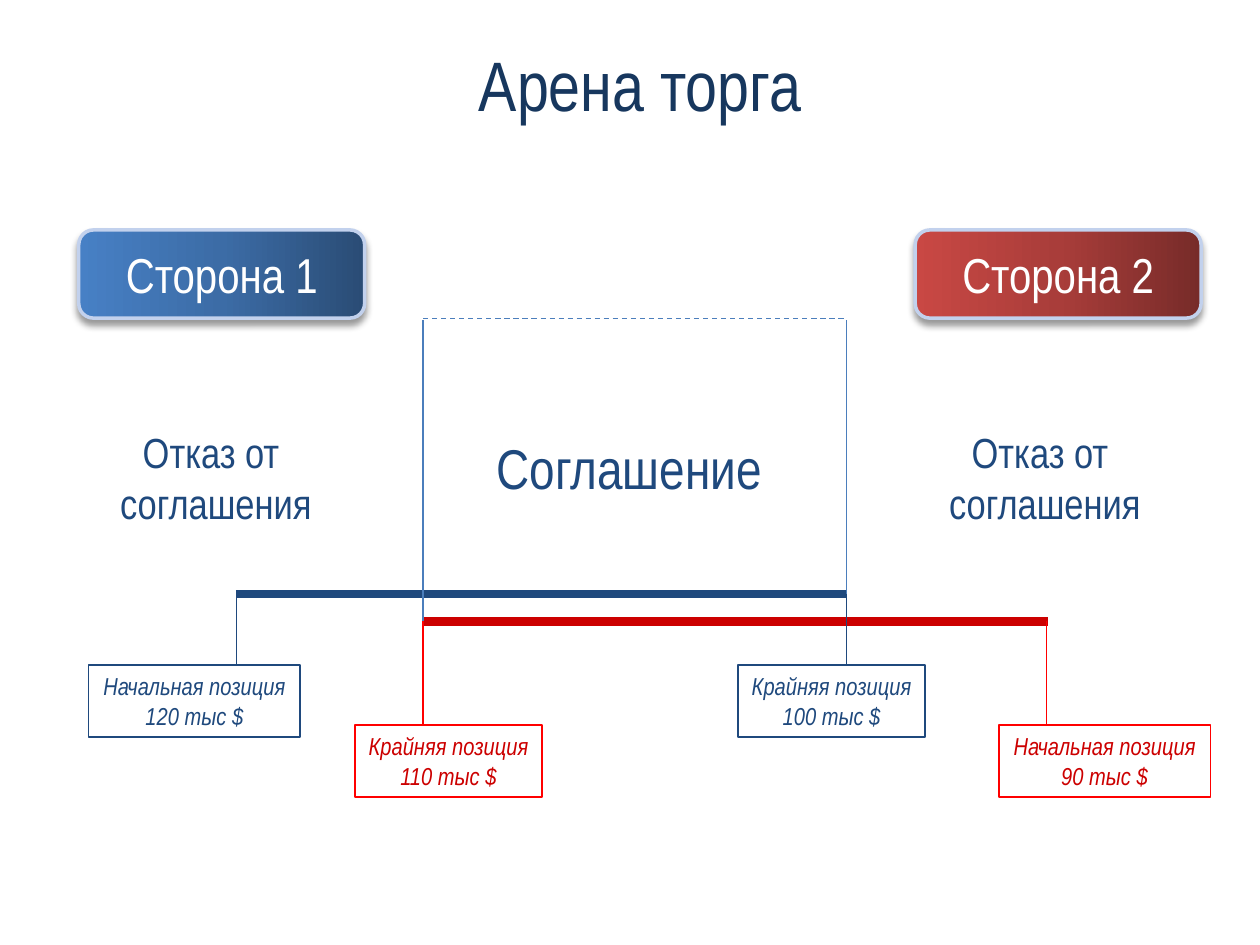
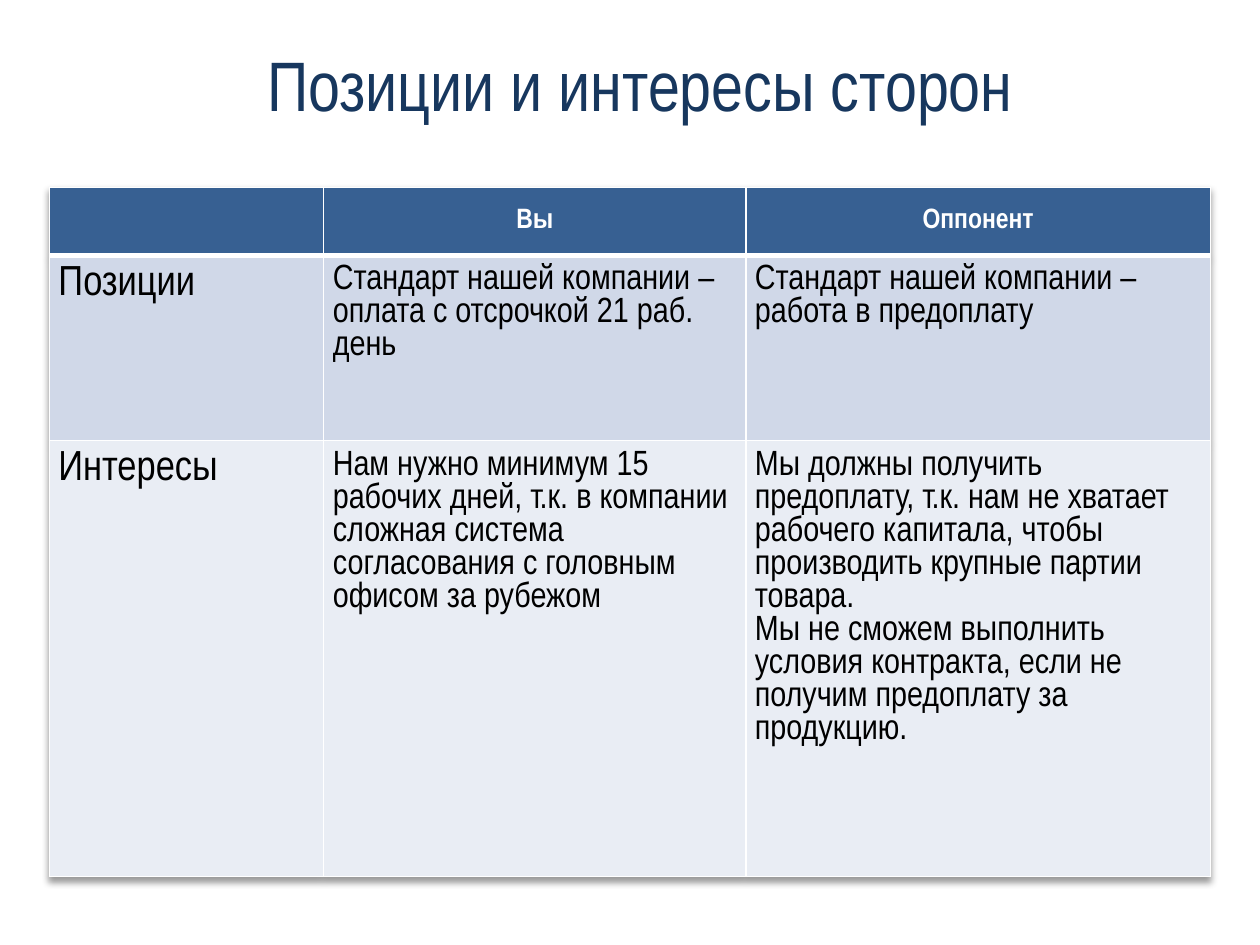
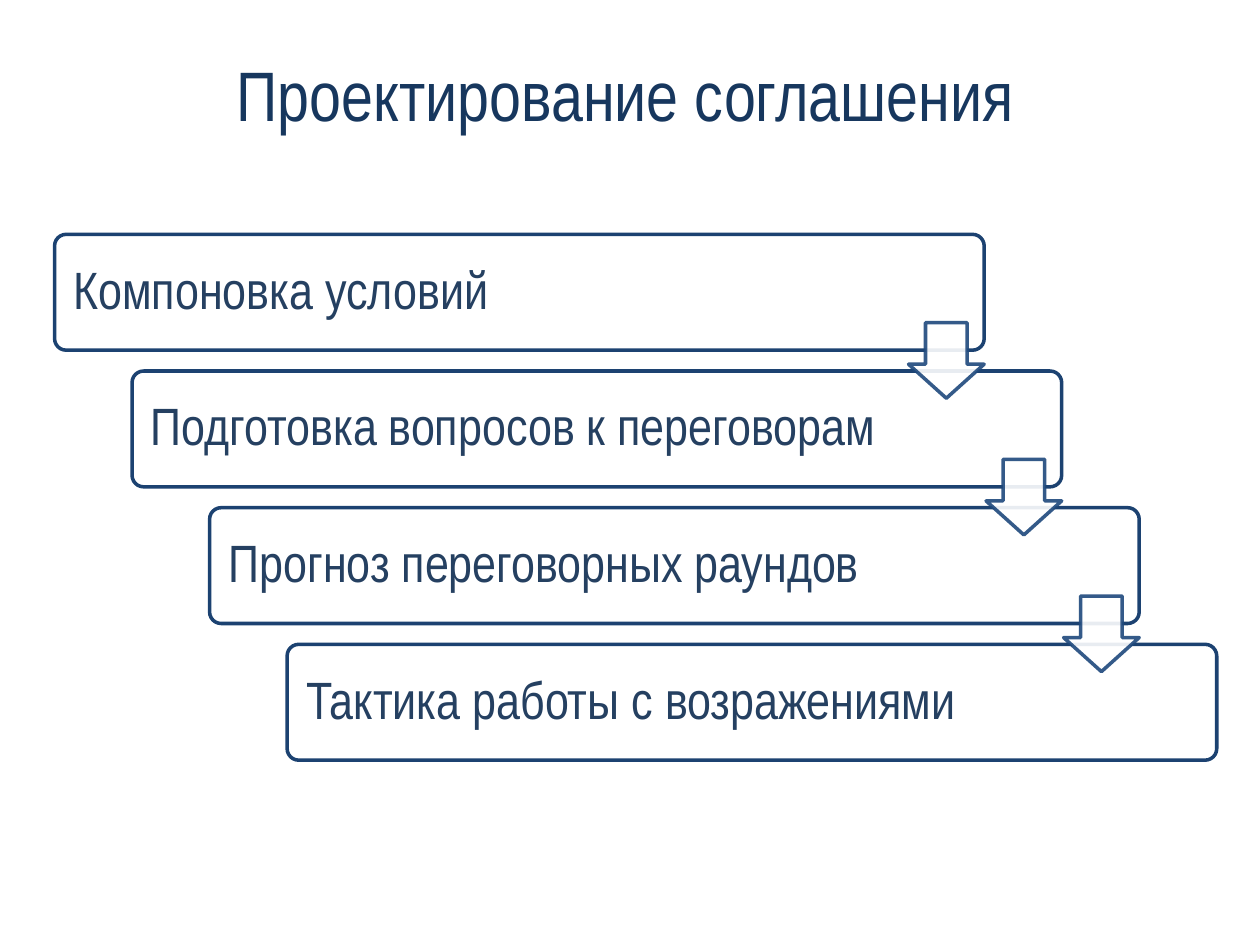
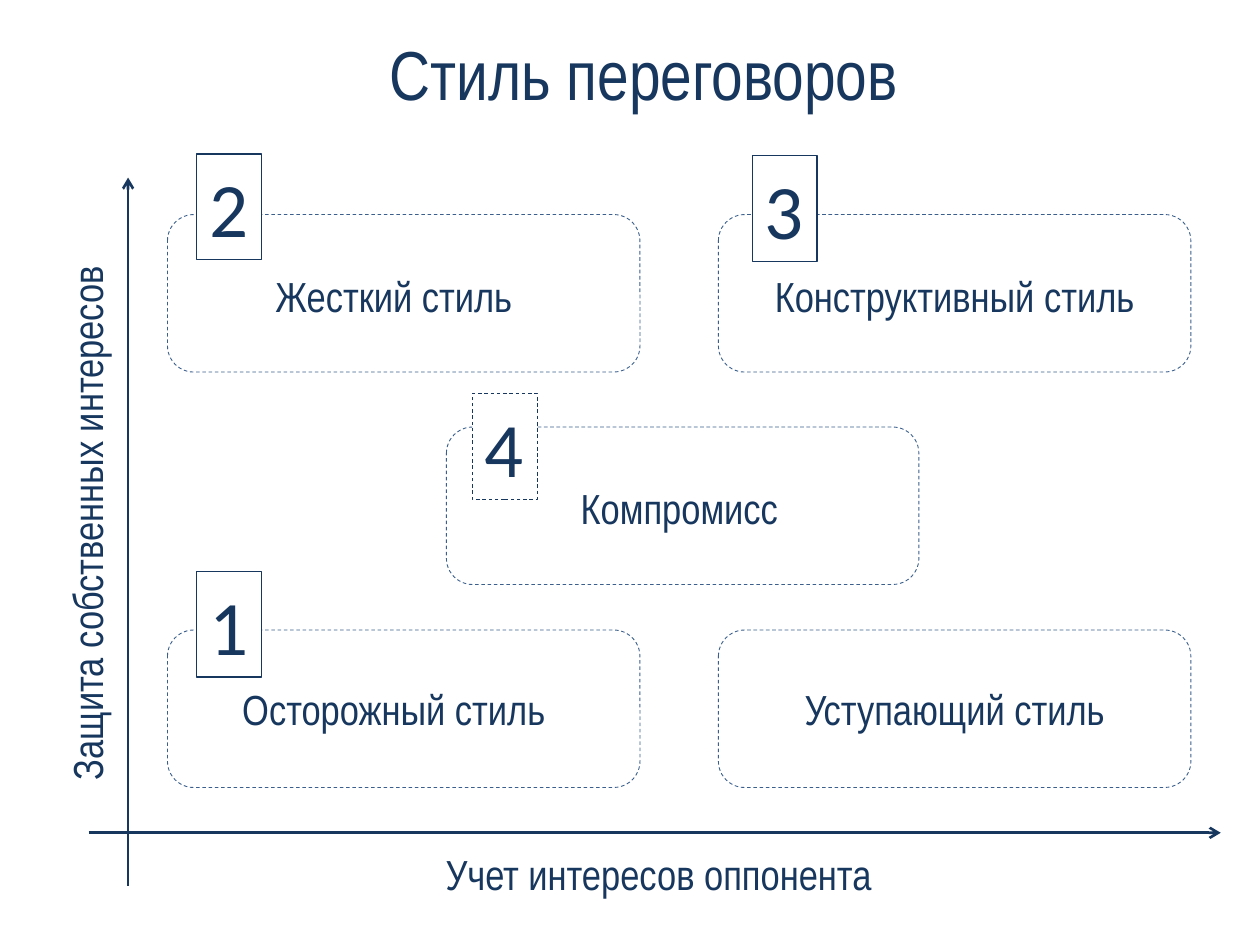
from pptx import Presentation
from pptx.dml.color import RGBColor
from pptx.enum.dml import MSO_LINE
from pptx.enum.shapes import MSO_CONNECTOR, MSO_SHAPE
from pptx.enum.text import MSO_ANCHOR, MSO_AUTO_SIZE, PP_ALIGN
from pptx.oxml import parse_xml
from pptx.oxml.ns import nsdecls, qn
from pptx.util import Pt

# Shared colours, font and effects
WHITE = RGBColor(0xFF, 0xFF, 0xFF)
BLACK = RGBColor(0, 0, 0)
NAVY = RGBColor(0x17, 0x37, 0x5E)
BLUE = RGBColor(0x1F, 0x49, 0x7D)
GUIDE = RGBColor(0x4B, 0x7E, 0xBC)
RED = RGBColor(0xCC, 0x00, 0x00)
BRIGHT_RED = RGBColor(0xFF, 0x00, 0x00)
PALE_BLUE = RGBColor(0xC2, 0xD1, 0xED)
STEP_LINE = RGBColor(0x1C, 0x42, 0x71)
STEP_TEXT = RGBColor(0x25, 0x40, 0x61)
FRAME = RGBColor(0x3A, 0x5F, 0x8C)
HEADER = RGBColor(0x37, 0x60, 0x92)
BAND_1 = RGBColor(0xD0, 0xD8, 0xE8)
BAND_2 = RGBColor(0xE9, 0xED, 0xF4)
FONT = "Arial Narrow"
DASH = MSO_LINE.DASH
RECT, ROUND = MSO_SHAPE.RECTANGLE, MSO_SHAPE.ROUNDED_RECTANGLE
SHADOW = (f'<a:outerShdw {nsdecls("a")} blurRad="50800" dist="38100" dir="5400000" rotWithShape="0">'
          '<a:srgbClr val="000000"><a:alpha val="40000"/></a:srgbClr></a:outerShdw>')


def box(sl, kind, at, lines=(), size=24, color=NAVY, fill=None, line=None, weight=1,
        dash=None, font=FONT, italic=False, align=PP_ALIGN.CENTER, wrap=True, spacing=None):
    """Add a shape, or a text box when kind is None; at is left, top, width, height in points."""
    at = [Pt(v) for v in at]
    sp = sl.shapes.add_textbox(*at) if kind is None else sl.shapes.add_shape(kind, *at)
    if kind is not None:
        sp.shadow.inherit = False
    if fill is None:
        sp.fill.background()
    else:
        sp.fill.solid()
        sp.fill.fore_color.rgb = fill
    if line is None:
        sp.line.fill.background()
    else:
        sp.line.color.rgb = line
        sp.line.width = Pt(weight)
        if dash:
            sp.line.dash_style = dash
    tf = sp.text_frame
    tf.word_wrap = wrap
    tf.vertical_anchor = MSO_ANCHOR.MIDDLE
    if not wrap:
        tf.auto_size = MSO_AUTO_SIZE.SHAPE_TO_FIT_TEXT
    for i, text in enumerate(lines):
        p = tf.add_paragraph() if i else tf.paragraphs[0]
        p.alignment = align
        p.line_spacing = spacing
        r = p.add_run()
        r.text = text
        r.font.color.rgb = color
        for name, value in dict(name=font, size=Pt(size), italic=italic).items():
            setattr(r.font, name, value)
    return sp


def rule(sl, x1, y1, x2, y2, color, weight=0.75, dash=None, arrow=False):
    """Add a straight line, with an open arrowhead at its end if asked."""
    cn = sl.shapes.add_connector(MSO_CONNECTOR.STRAIGHT, Pt(x1), Pt(y1), Pt(x2), Pt(y2))
    cn.line.color.rgb = color
    cn.line.width = Pt(weight)
    if dash:
        cn.line.dash_style = dash
    if arrow:
        cn.line._get_or_add_ln().append(parse_xml(f'<a:tailEnd {nsdecls("a")} type="arrow"/>'))
    cn._element.spPr.append(parse_xml(f'<a:effectLst {nsdecls("a")}/>'))


prs = Presentation()
prs.slide_width, prs.slide_height = Pt(720), Pt(540)

# Slides and their titles
titles = [
    ("Арена торга", ROUND, (56.4, 22.3, 618.5, 50.4), 40),
    ("Позиции и интересы сторон", ROUND, (56.4, 22.3, 618.5, 50.4), 40),
    ("Проектирование соглашения", None, (33.8, 22.3, 646.6, 61.9), 40),
    ("Стиль переговоров", None, (43.9, 15.8, 648, 51.8), 39.6),
]
slides = []
for text, kind, at, size in titles:
    sl = prs.slides.add_slide(prs.slide_layouts[6])
    box(sl, kind, at, [text], size)
    slides.append(sl)
arena, interests, design, styles = slides

# Slide 1: bargaining ranges and the agreement zone between them
ZONE_LEFT, ZONE_RIGHT, ZONE_TOP = 241.8, 483.7, 182
BLUE_Y, RED_Y = 339.4, 355
rule(arena, ZONE_LEFT, RED_Y, 599, RED_Y, RED, 5)
box(arena, None, (275.4, 243.8, 168.5, 46.1), ["Соглашение"], 32, BLUE, wrap=False)
rule(arena, 134.8, BLUE_Y, ZONE_RIGHT, BLUE_Y, BLUE, 5)
for x in (ZONE_LEFT, ZONE_RIGHT):
    rule(arena, x, 357.8, x, ZONE_TOP + 0.9, GUIDE)
rule(arena, ZONE_LEFT, ZONE_TOP, ZONE_RIGHT, ZONE_TOP, GUIDE, dash=DASH)

# The two sides and their way out
sides = [
    ("Сторона 1", 45, 60.7, ("2A4C75", "3C6CA6", "4780C5")),
    ("Сторона 2", 523, 534.4, ("772B29", "A93D3A", "C94844")),
]
for name, left, refusal_left, stops in sides:
    sp = box(arena, ROUND, (left, 131.4, 163.4, 50.4), [name], 28, WHITE, line=PALE_BLUE, weight=2)
    stop_xml = "".join(f'<a:gs pos="{i * 50000}"><a:srgbClr val="{c}"/></a:gs>'
                       for i, c in enumerate(stops))
    spPr = sp._element.spPr
    spPr.replace(spPr.find(qn("a:noFill")), parse_xml(
        f'<a:gradFill {nsdecls("a")} rotWithShape="1"><a:gsLst>{stop_xml}</a:gsLst>'
        '<a:lin ang="10800000" scaled="0"/></a:gradFill>'))
    spPr.find(qn("a:effectLst")).append(parse_xml(SHADOW))
    box(arena, None, (refusal_left, 239.8, 125.3, 65.5), ["Отказ от ", "соглашения"],
        color=BLUE, wrap=False)

# Opening and final positions, each hung from its range
START, LIMIT = ("Начальная позиция", 121), ("Крайняя позиция", 106.6)
positions = [
    (LIMIT, "100 тыс $", 421.9, ZONE_RIGHT, True),
    (START, "120 тыс $", 50.6, 135.3, True),
    (LIMIT, "110 тыс $", 203, 241.7, False),
    (START, "90 тыс $", 570.7, 598.2, False),
]
for (label, width), amount, left, stem, is_blue in positions:
    color, line, y, top = (BLUE, BLUE, BLUE_Y, 380) if is_blue else (RED, BRIGHT_RED, RED_Y, 414.3)
    box(arena, RECT, (left, top, width, 41), [label, amount], 14, color, line=line,
        italic=True, wrap=False)
    rule(arena, stem, y, stem, top, line)

# Slide 2: table of positions and interests
rows = [
    ("", "Вы", "Оппонент"),
    ("Позиции",
     "Стандарт нашей компании – оплата с отсрочкой 21 раб. день",
     "Стандарт нашей компании –работа в предоплату"),
    ("Интересы",
     "Нам нужно минимум 15 рабочих дней, т.к. в компании сложная система "
     "согласования с головным офисом за рубежом",
     "Мы должны получить предоплату, т.к. нам не хватает рабочего капитала, "
     "чтобы производить крупные партии товара.\n"
     "Мы не сможем выполнить условия контракта, если не получим предоплату за продукцию."),
]
widths, heights = (156.8, 241.2, 265.5), (38.9, 105.8, 249.1)
frame = interests.shapes.add_table(3, 3, Pt(28.2), Pt(107), Pt(sum(widths)), Pt(sum(heights)))
table = frame.table
table._tbl.tblPr.insert(0, parse_xml(f'<a:effectLst {nsdecls("a")}/>'))
table._tbl.tblPr[0].append(parse_xml(SHADOW))
for col, width in zip(table.columns, widths):
    col.width = Pt(width)
for i, (row, height, fill) in enumerate(zip(rows, heights, (HEADER, BAND_1, BAND_2))):
    table.rows[i].height = Pt(height)
    for j, text in enumerate(row):
        cell = table.cell(i, j)
        for side in "LRTB":
            thick = (i, side) in ((0, "B"), (1, "T"))
            cell._tc.get_or_add_tcPr().append(parse_xml(
                f'<a:ln{side} {nsdecls("a")} w="{38100 if thick else 12700}"><a:solidFill>'
                f'<a:srgbClr val="FFFFFF"/></a:solidFill></a:ln{side}>'))
        cell.fill.solid()
        cell.fill.fore_color.rgb = fill
        cell.vertical_anchor = MSO_ANCHOR.TOP if i else MSO_ANCHOR.MIDDLE
        for name in ("margin_left", "margin_right", "margin_top", "margin_bottom"):
            setattr(cell, name, Pt(5.2))
        if not text:
            continue
        cell.text = text
        size = 16 if i == 0 else 20 if j else 24
        for p in cell.text_frame.paragraphs:
            p.alignment = PP_ALIGN.LEFT if i else PP_ALIGN.CENTER
            r = p.runs[0]
            r.font.color.rgb = BLACK if i else WHITE
            for name, value in dict(name=FONT, size=Pt(size), bold=i == 0).items():
                setattr(r.font, name, value)

# Slide 3: staircase of steps
STEP_X, STEP_Y = 44.3, 78.1
steps = ["Компоновка условий", "Подготовка вопросов к переговорам",
         "Прогноз переговорных раундов", "Тактика работы с возражениями"]
for i, step in enumerate(steps):
    left, top = 31.2 + i * STEP_X, 133.9 + i * STEP_Y
    sp = box(design, ROUND, (left, top, 531.2, 66.2), fill=WHITE, line=STEP_LINE, weight=2)
    sp.adjustments[0] = 0.1
    sp = box(design, None, (left + 2.2, top + 2, 441, 62), [step], 30, STEP_TEXT,
             align=PP_ALIGN.LEFT, spacing=0.9)
    for name in ("margin_left", "margin_right", "margin_top", "margin_bottom"):
        setattr(sp.text_frame, name, Pt(8.6))

# Translucent arrows from step to step
for i in range(len(steps) - 1):
    sp = box(design, MSO_SHAPE.DOWN_ARROW, (519.2 + i * STEP_X, 184.4 + i * STEP_Y, 43.2, 43.2),
             fill=WHITE, line=BLUE, weight=2)
    sp.adjustments[0], sp.adjustments[1] = 0.55, 0.45
    for clr in sp._element.spPr.iter(qn("a:srgbClr")):
        clr.append(parse_xml(f'<a:alpha {nsdecls("a")} val="90000"/>'))

# Slide 4: axes
box(styles, None, (247.5, 481.3, 262, 36), ["Учет интересов оппонента"],
    align=PP_ALIGN.LEFT, wrap=False)
sp = box(styles, None, (-106.9, 278.6, 312.5, 36), ["Защита собственных интересов"],
         align=PP_ALIGN.LEFT, wrap=False)
sp.rotation = 270
rule(styles, 73.2, 506.2, 73.2, 101.5, NAVY, 1.5, arrow=True)
rule(styles, 50.6, 475.9, 697.6, 475.9, NAVY, 1.5, arrow=True)

# Styles: label, its left and top, frame left and top
cards = [
    ("Конструктивный стиль", 410.5, 118.2, 410.5, 122.6),
    ("Жесткий стиль", 90, 118.2, 95.7, 122.6),
    ("Осторожный стиль", 90, 354.2, 95.7, 360),
    ("Уступающий стиль", 410.5, 354.2, 410.5, 360),
    ("Компромисс", 253.2, 239.2, 255.1, 244),
]
for name, left, top, frame_left, frame_top in cards:
    box(styles, RECT, (left, top, 270, 101.5), [name], fill=WHITE)
    box(styles, ROUND, (frame_left, frame_top, 270, 90), line=FRAME, weight=0.5, dash=DASH)

# Numbers on the frames
numbers = [("1", 112.5, 326.5, 0.75, None), ("2", 112.5, 88, 0.75, None),
           ("3", 430, 89, 0.75, None), ("4", 270, 224.8, 0.5, DASH)]
for number, left, top, weight, dash in numbers:
    box(styles, RECT, (left, top, 36.9, 60.5), [number], 44, fill=WHITE, line=NAVY,
        weight=weight, dash=dash, font="Calibri", align=PP_ALIGN.LEFT, wrap=False)

prs.save("out.pptx")
